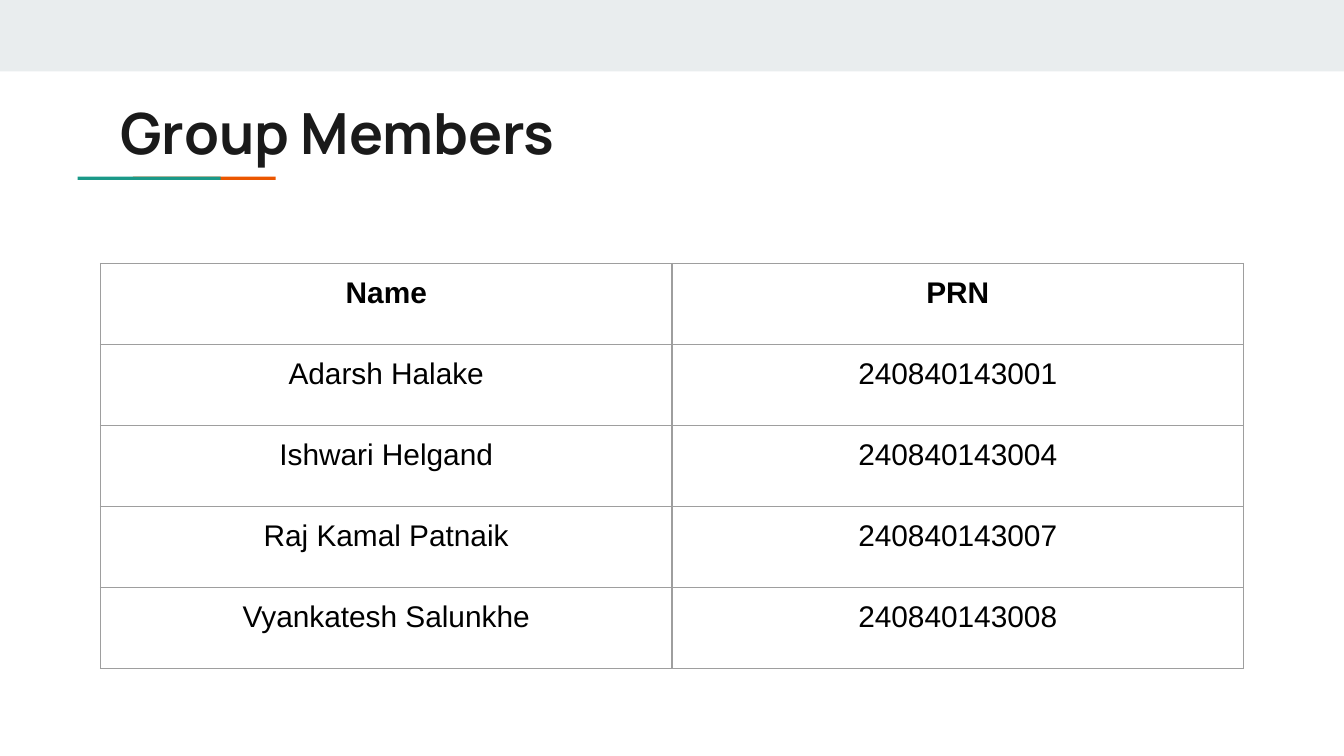
"""Build the Group Members slide with a heading and a table of names and PRNs."""
from lxml.etree import SubElement
from pptx import Presentation
from pptx.dml.color import RGBColor
from pptx.enum.shapes import MSO_SHAPE
from pptx.enum.text import MSO_ANCHOR, PP_ALIGN
from pptx.oxml.ns import qn
from pptx.util import Cm, Pt

COLORS = {
    "band": "E9EDEE",
    "orange": "EB5600",
    "green": "1A9988",
    "title": "1A1A1A",
    "text": "000000",
    "border": "9E9E9E",
}
ROWS = [
    ("Name", "PRN"),
    ("Adarsh Halake", "240840143001"),
    ("Ishwari Helgand", "240840143004"),
    ("Raj Kamal Patnaik", "240840143007"),
    ("Vyankatesh Salunkhe", "240840143008"),
]


def add_run(p, text, font, size, color, bold):
    r = p.add_run()
    r.text = text
    r.font.name = font
    r.font.size = Pt(size)
    r.font.bold = bold
    r.font.color.rgb = RGBColor.from_string(COLORS[color])


def add_borders(cell):
    tcPr = cell._tc.get_or_add_tcPr()
    for side in ("a:lnL", "a:lnR", "a:lnT", "a:lnB"):
        ln = SubElement(tcPr, qn(side), w=str(Pt(0.75)))
        fill = SubElement(ln, qn("a:solidFill"))
        SubElement(fill, qn("a:srgbClr"), val=COLORS["border"])


prs = Presentation()
prs.slide_width, prs.slide_height = Cm(25.4), Cm(14.29)
s = prs.slides.add_slide(prs.slide_layouts[6])

for color, x, y, w, h in [
    ("band", 0, 0, 25.4, 1.35),
    ("orange", 2.51, 3.34, 2.7, 0.06),
    ("green", 1.47, 3.34, 2.7, 0.06),
]:
    sp = s.shapes.add_shape(MSO_SHAPE.RECTANGLE, Cm(x), Cm(y), Cm(w), Cm(h))
    sp.shadow.inherit = False
    sp.fill.solid()
    sp.fill.fore_color.rgb = RGBColor.from_string(COLORS[color])
    sp.line.fill.background()

sp = s.shapes.add_textbox(Cm(2.03), Cm(1.6), Cm(21.36), Cm(1.5))
tf = sp.text_frame
tf.word_wrap = True
tf.vertical_anchor = MSO_ANCHOR.TOP
tf.margin_left = tf.margin_right = tf.margin_top = tf.margin_bottom = Cm(0.25)
add_run(tf.paragraphs[0], "Group Members", "Manrope", 30.4, "title", True)

row_h, col_w = Cm(1.53), Cm(10.8)
table = s.shapes.add_table(
    len(ROWS), 2, Cm(1.9), Cm(4.98), col_w * 2, row_h * len(ROWS)
).table
table.first_row = table.horz_banding = False
for col in table.columns:
    col.width = col_w
for i, values in enumerate(ROWS):
    table.rows[i].height = row_h
    for j, value in enumerate(values):
        cell = table.cell(i, j)
        cell.margin_left = cell.margin_right = Cm(0.25)
        cell.margin_top = cell.margin_bottom = Cm(0.25)
        cell.vertical_anchor = MSO_ANCHOR.TOP
        add_borders(cell)
        cell.fill.background()
        p = cell.text_frame.paragraphs[0]
        p.alignment = PP_ALIGN.CENTER
        add_run(p, value, "Arial", 16, "text", i == 0)

prs.save("out.pptx")
